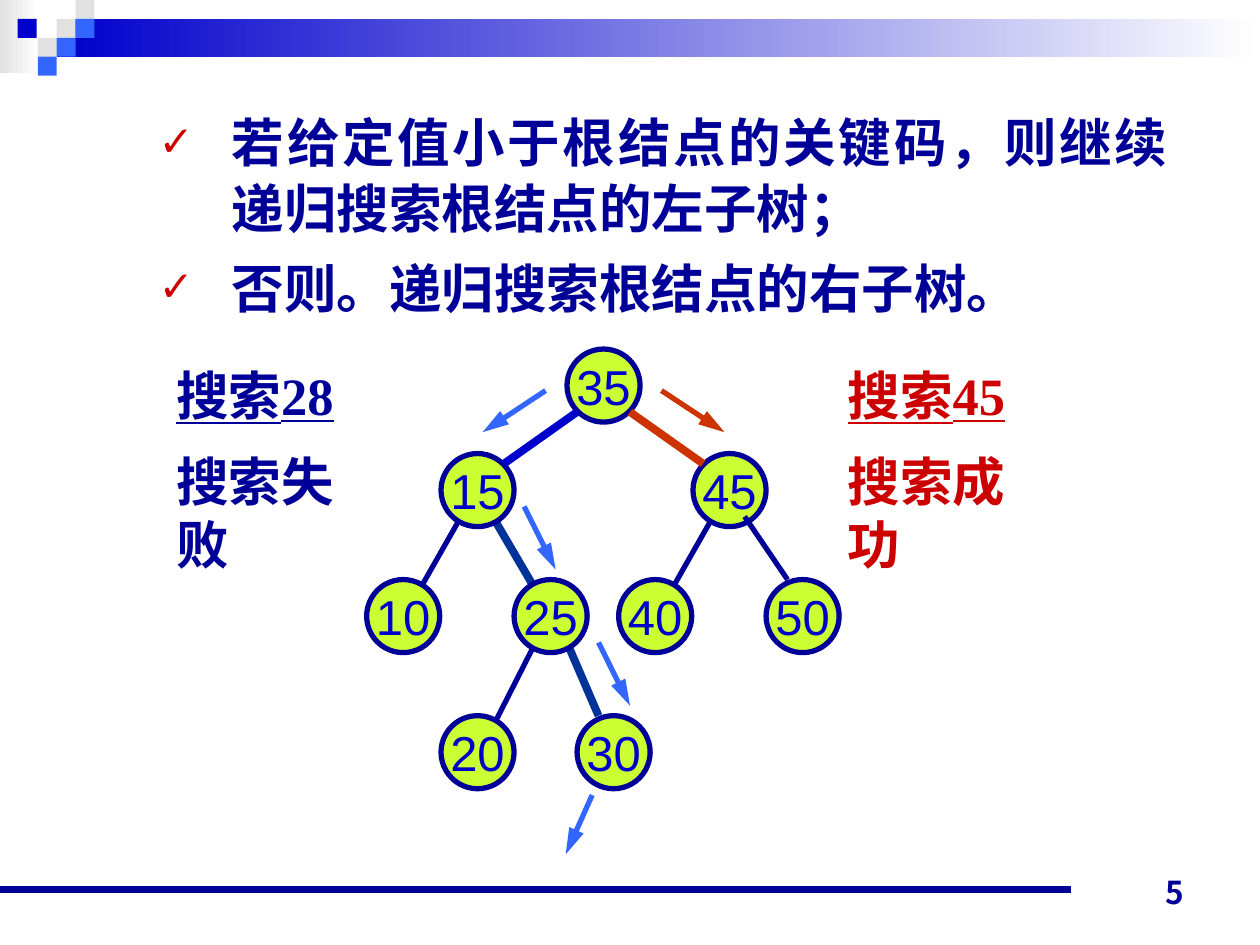
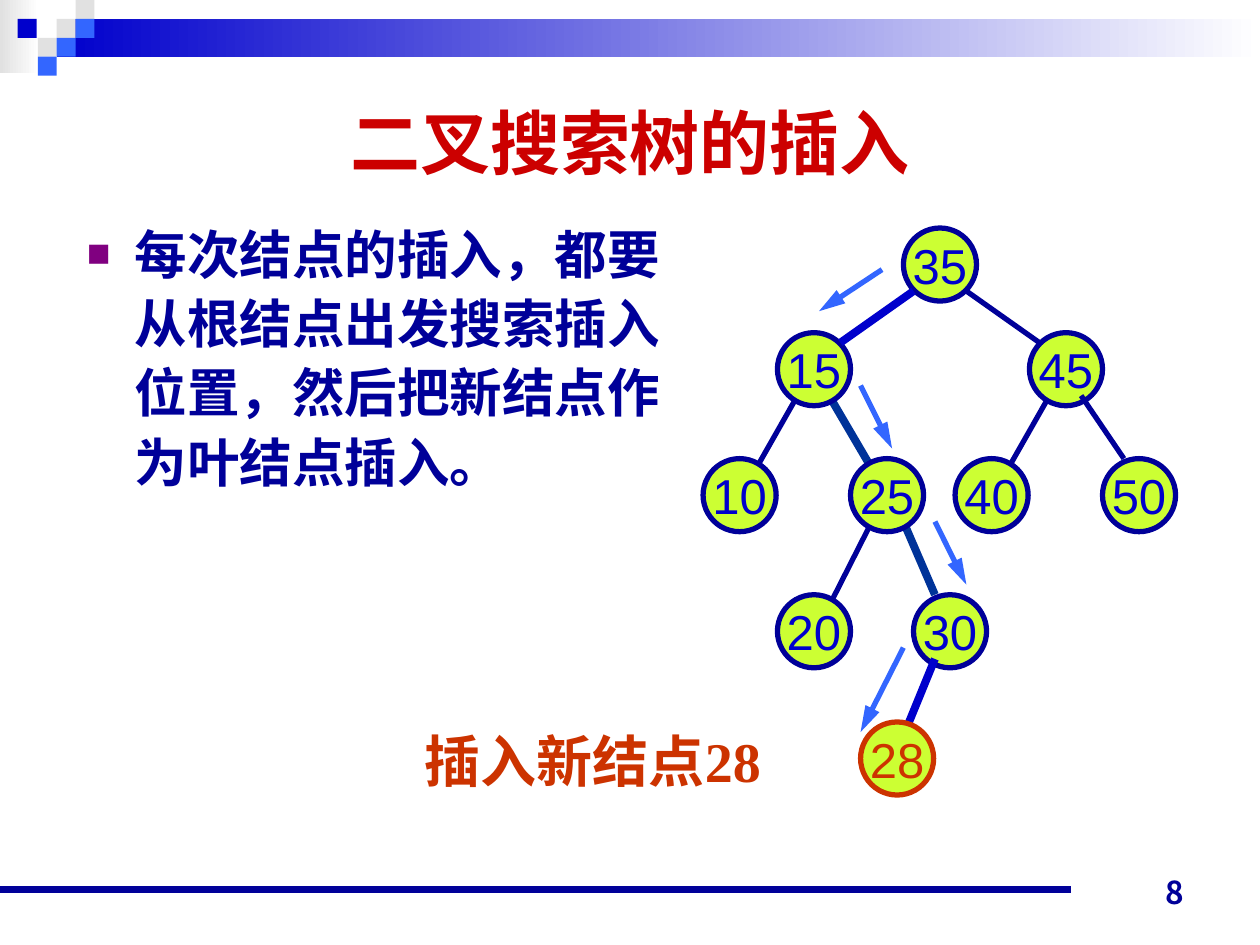
from lxml.etree import SubElement
from pptx import Presentation
from pptx.dml.color import RGBColor
from pptx.enum.shapes import MSO_CONNECTOR, MSO_SHAPE
from pptx.enum.text import MSO_ANCHOR, MSO_AUTO_SIZE, PP_ALIGN
from pptx.oxml.ns import qn
from pptx.util import Inches, Pt

COLORS = {
    "navy": "000099", "blue": "0000CC", "sky": "3366FF", "steel": "003399",
    "red": "CC0000", "rust": "CC3300", "lime": "CCFF33", "purple": "800080",
    "gray": "E1E1E1", "white": "FFFFFF",
}
CHINESE_FONT = "Noto Sans CJK JP"
SERIF = "Times New Roman"
SANS = "Arial"

SQUARE = 0.15
HEADER_SQUARES = [
    (0.45, 0.15, "gray"), (0.6, 0, "gray"), (0.6, 0.15, "sky"), (0.3, 0.3, "gray"),
    (0.14, 0.15, "blue"), (0.45, 0.3, "sky"), (0.3, 0.45, "sky"),
]

# Tree positions are measured from the top left corner of the root node.
NODE_SIZE = 0.58
NODES = {
    35: (0, 0), 15: (-1, 0.83), 45: (1, 0.83), 50: (1.58, 1.83), 40: (0.41, 1.83),
    25: (-0.42, 1.83), 10: (-1.59, 1.83), 20: (-1, 2.91), 30: (0.08, 2.91),
}
EDGES_BEHIND_NODES = [
    ((1.16, 1.33), (0.83, 1.91), "navy", 3),
    ((0, 2.33), (0.25, 2.91), "steel", 4.5),
    ((-0.25, 2.33), (-0.59, 3), "navy", 3),
    ((-0.84, 1.33), (-1.17, 1.91), "navy", 3),
    ((-0.59, 1.33), (-0.25, 1.91), "steel", 4.5),
]
EDGES_OVER_NODES = [
    ((0.08, 0.5), (-0.5, 0.91), "blue", 4.5),
    ((1.41, 1.33), (1.75, 1.83), "navy", 3),
]
ROOT_TO_RIGHT = ((0.5, 0.5), (1.08, 0.91))
SEARCH_ARROWS = [
    ((-0.17, 0.33), (-0.67, 0.66)),
    ((-0.34, 1.25), (-0.09, 1.75)),
    ((0.25, 2.33), (0.5, 2.83)),
]


def rgb(name):
    return RGBColor.from_string(COLORS[name])


def place(shape, left, top, width, height):
    shape.left, shape.top = Inches(left), Inches(top)
    shape.width, shape.height = Inches(width), Inches(height)


def add_run(paragraph, text, size, color, font_name, bold=True, underline=None):
    run = paragraph.add_run()
    run.text = text
    font = run.font
    font.name, font.size = font_name, Pt(size)
    font.bold, font.underline = bold, underline
    font.color.rgb = rgb(color)
    SubElement(font._element, qn("a:ea"), typeface=CHINESE_FONT)


def add_preset(slide, preset, left, top, width, height):
    shape = slide.shapes.add_shape(
        preset, Inches(left), Inches(top), Inches(width), Inches(height))
    shape.shadow.inherit = False
    return shape


def add_block(slide, left, top, width, height, color, fades=False):
    block = add_preset(slide, MSO_SHAPE.RECTANGLE, left, top, width, height)
    block.line.fill.background()
    if fades:
        block.fill.gradient()
        block.fill.gradient_angle = 0
        for stop, position, name in zip(block.fill.gradient_stops, (0, 1), (color, "white")):
            stop.position = position
            stop.color.rgb = rgb(name)
    else:
        block.fill.solid()
        block.fill.fore_color.rgb = rgb(color)


def add_line(slide, start, end, color, width, origin=(0, 0), arrow=False):
    points = [Inches(value + shift) for point in (start, end)
              for value, shift in zip(point, origin)]
    connector = slide.shapes.add_connector(MSO_CONNECTOR.STRAIGHT, *points)
    connector.line.color.rgb = rgb(color)
    connector.line.width = Pt(width)
    if arrow:
        SubElement(connector.line._get_or_add_ln(), qn("a:tailEnd"),
                   type="triangle", w="med", len="lg")
    SubElement(connector._element.spPr, qn("a:effectLst"))


def add_node(slide, value, position, origin, line_color="navy", text_color="blue"):
    left, top = (a + b for a, b in zip(position, origin))
    node = add_preset(slide, MSO_SHAPE.OVAL, left, top, NODE_SIZE, NODE_SIZE)
    node.fill.solid()
    node.fill.fore_color.rgb = rgb("lime")
    node.line.color.rgb = rgb(line_color)
    node.line.width = Pt(3)
    frame = node.text_frame
    frame.word_wrap = False
    frame.vertical_anchor = MSO_ANCHOR.MIDDLE
    paragraph = frame.paragraphs[0]
    paragraph.alignment = PP_ALIGN.CENTER
    add_run(paragraph, str(value), 28, text_color, SANS, bold=False)


def add_tree(slide, origin, right_color, right_width):
    for edge in EDGES_BEHIND_NODES:
        add_line(slide, *edge, origin)
    for value, position in NODES.items():
        add_node(slide, value, position, origin)
    for edge in EDGES_OVER_NODES + [(*ROOT_TO_RIGHT, right_color, right_width)]:
        add_line(slide, *edge, origin)
    for start, end in SEARCH_ARROWS:
        add_line(slide, start, end, "sky", 3, origin, arrow=True)


def add_text_box(slide, left, top, width, height, wrap=True):
    box = slide.shapes.add_textbox(
        Inches(left), Inches(top), Inches(width), Inches(height))
    box.text_frame.word_wrap = wrap
    return box.text_frame


def add_search_result(slide, left, key, outcome, color):
    frame = add_text_box(slide, left, 2.83, 1.86, 1.29, wrap=False)
    frame.auto_size = MSO_AUTO_SIZE.SHAPE_TO_FIT_TEXT
    for paragraph, text, underline in (
            (frame.paragraphs[0], f"搜索{key}", True),
            (frame.add_paragraph(), f"搜索{outcome}", False)):
        paragraph.space_before = Pt(13.1)
        add_run(paragraph, text, 30, color, SERIF, underline=underline)


def set_bullet(paragraph, symbol, color, percent, margin, hanging):
    properties = paragraph._p.get_or_add_pPr()
    properties.set("marL", str(Inches(margin)))
    properties.set("indent", str(-Inches(hanging)))
    bullet_color = SubElement(properties, qn("a:buClr"))
    SubElement(bullet_color, qn("a:srgbClr"), val=COLORS[color])
    SubElement(properties, qn("a:buSzPct"), val=str(percent * 1000))
    SubElement(properties, qn("a:buChar"), char=symbol)


def fill_body(slide, area, items, font_name, spacing, alignment, level, bullet):
    body = slide.placeholders[1]
    place(body, *area)
    frame = body.text_frame
    frame.auto_size = MSO_AUTO_SIZE.NONE
    for index, text in enumerate(items):
        paragraph = frame.add_paragraph() if index else frame.paragraphs[0]
        paragraph.level = level
        paragraph.alignment = alignment
        paragraph.line_spacing = spacing
        paragraph.space_before = Pt(7.5)
        set_bullet(paragraph, *bullet)
        add_run(paragraph, text, 30, "navy", font_name)


def fill_title(slide, text):
    title = slide.shapes.title
    place(title, 0.5, 0.5, 9, 1.24)
    title.text_frame.vertical_anchor = MSO_ANCHOR.MIDDLE
    paragraph = title.text_frame.paragraphs[0]
    paragraph.alignment = PP_ALIGN.CENTER
    add_run(paragraph, text, 40, "red", SANS)


def add_framed_slide(presentation, number):
    """Add a slide with the header squares, the bands and the page number."""
    slide = presentation.slides.add_slide(presentation.slide_layouts[1])
    add_block(slide, 0, 0, 0.31, 0.58, "gray", fades=True)
    add_block(slide, 0.45, 0.15, 9.55, 0.3, "blue", fades=True)
    for left, top, color in HEADER_SQUARES:
        add_block(slide, left, top, SQUARE, SQUARE, color)
    add_line(slide, (0, 7.06), (8.5, 7.06), "navy", 4.5)
    frame = add_text_box(slide, 7.17, 6.78, 2.33, 0.5)
    frame.vertical_anchor = MSO_ANCHOR.BOTTOM
    frame.paragraphs[0].alignment = PP_ALIGN.RIGHT
    add_run(frame.paragraphs[0], str(number), 18, "navy", CHINESE_FONT)
    return slide


def build_search_slide(presentation):
    slide = add_framed_slide(presentation, 5)
    title = slide.shapes.title._element
    title.getparent().remove(title)
    fill_body(
        slide, (0.66, 0.8, 8.71, 1.97),
        ["若给定值小于根结点的关键码，则继续递归搜索根结点的左子树；",
         "否则。递归搜索根结点的右子树。"],
        SANS, 1.05, PP_ALIGN.JUSTIFY, 1, ("✓", "red", 80, 1.08, 0.58))
    add_search_result(slide, 6.63, 45, "成功", "red")
    add_search_result(slide, 1.3, 28, "失败", "navy")
    root = (4.5, 2.77)
    add_tree(slide, root, "rust", 4.5)
    add_line(slide, (0.75, 0.33), (1.25, 0.66), "rust", 3, root, arrow=True)
    add_line(slide, (0.2, 3.54), (-0.01, 4.01), "sky", 3, root, arrow=True)


def build_insert_slide(presentation):
    slide = add_framed_slide(presentation, 8)
    fill_title(slide, "二叉搜索树的插入")
    fill_body(
        slide, (0.59, 1.66, 4.92, 4.25),
        ["每次结点的插入，都要从根结点出发搜索插入位置，然后把新结点作为叶结点插入。"],
        SERIF, 1.1, PP_ALIGN.LEFT, 0, ("■", "purple", 75, 0.38, 0.38))
    root = (7.17, 1.81)
    add_tree(slide, root, "navy", 3)
    add_line(slide, (0, 3.33), (-0.34, 4), "sky", 3, root, arrow=True)
    add_line(slide, (0.25, 3.42), (-0.09, 4.25), "blue", 4.5, root)
    add_node(slide, 28, (-0.34, 3.92), root, "rust", "rust")
    frame = add_text_box(slide, 3.27, 5.72, 3.25, 0.64)
    add_run(frame.paragraphs[0], "插入新结点28", 32, "rust", SERIF)


def main():
    presentation = Presentation()
    presentation.slide_width, presentation.slide_height = Inches(10), Inches(7.5)
    build_search_slide(presentation)
    build_insert_slide(presentation)
    presentation.save("out.pptx")


if __name__ == "__main__":
    main()
